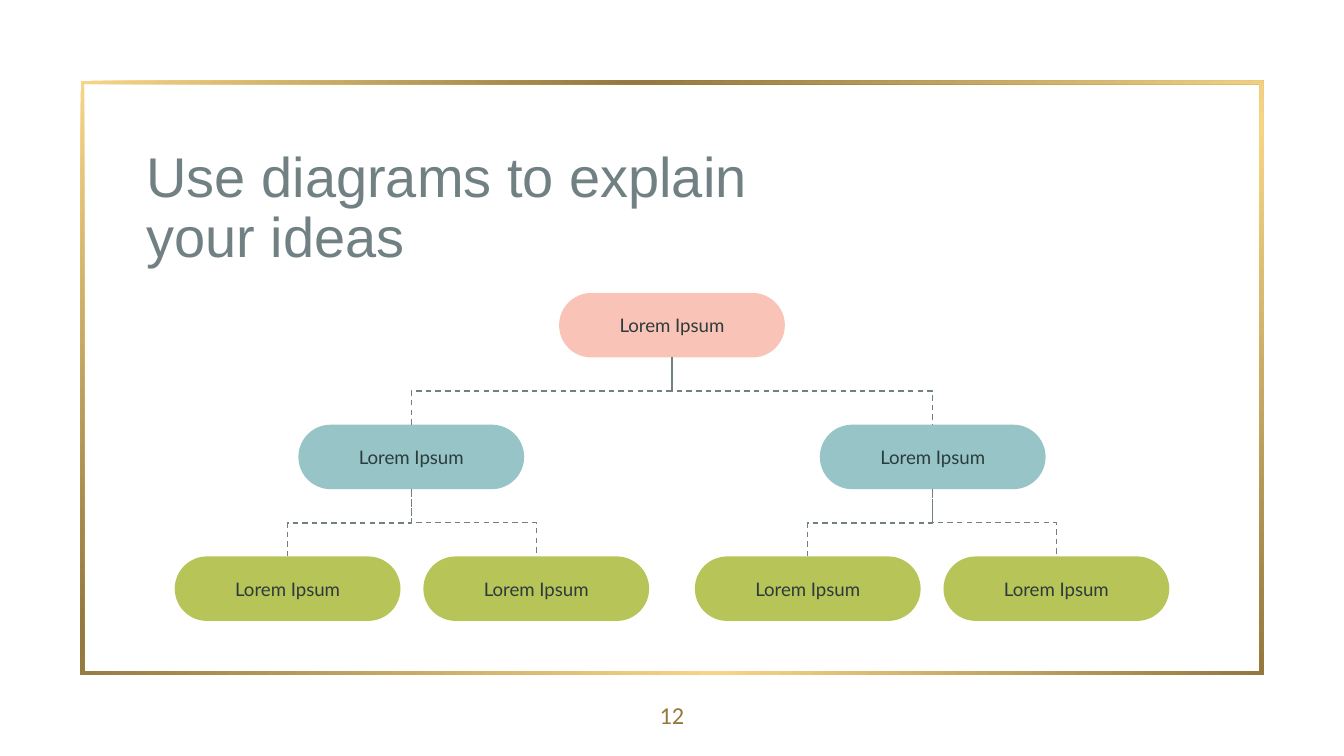
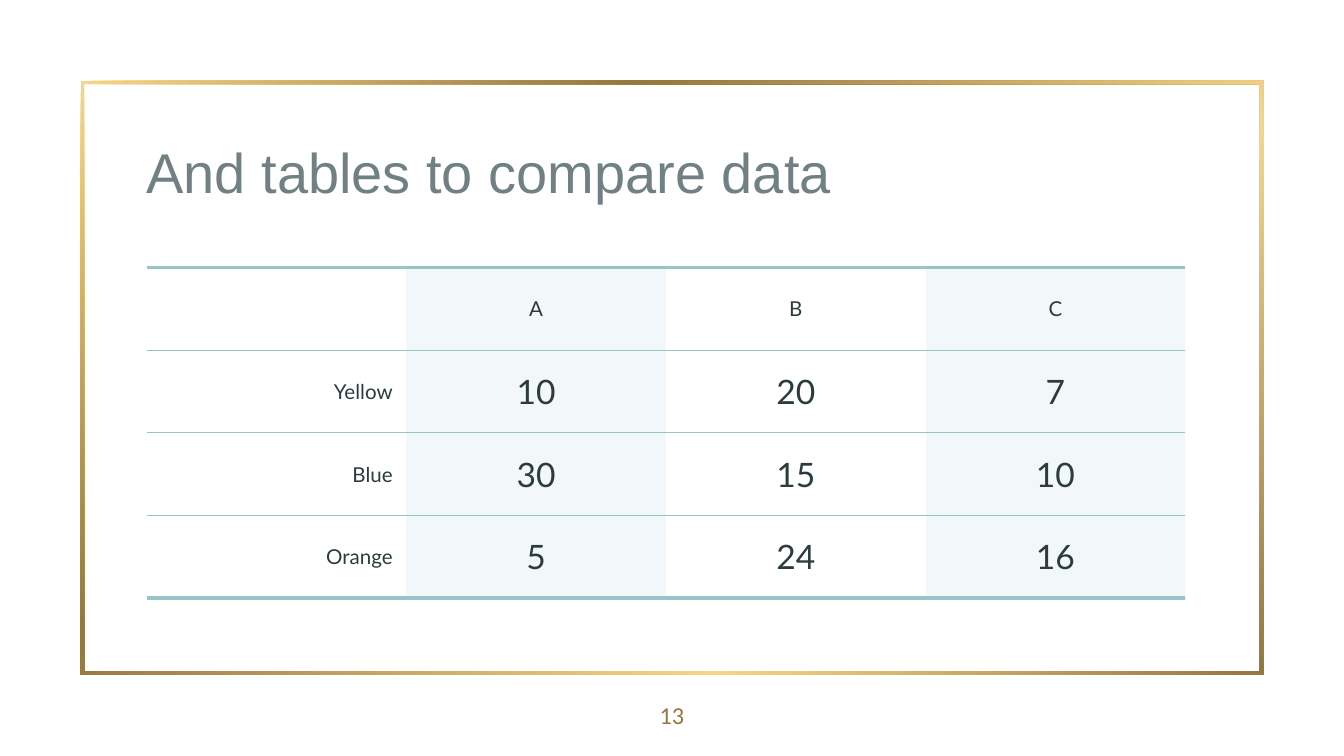
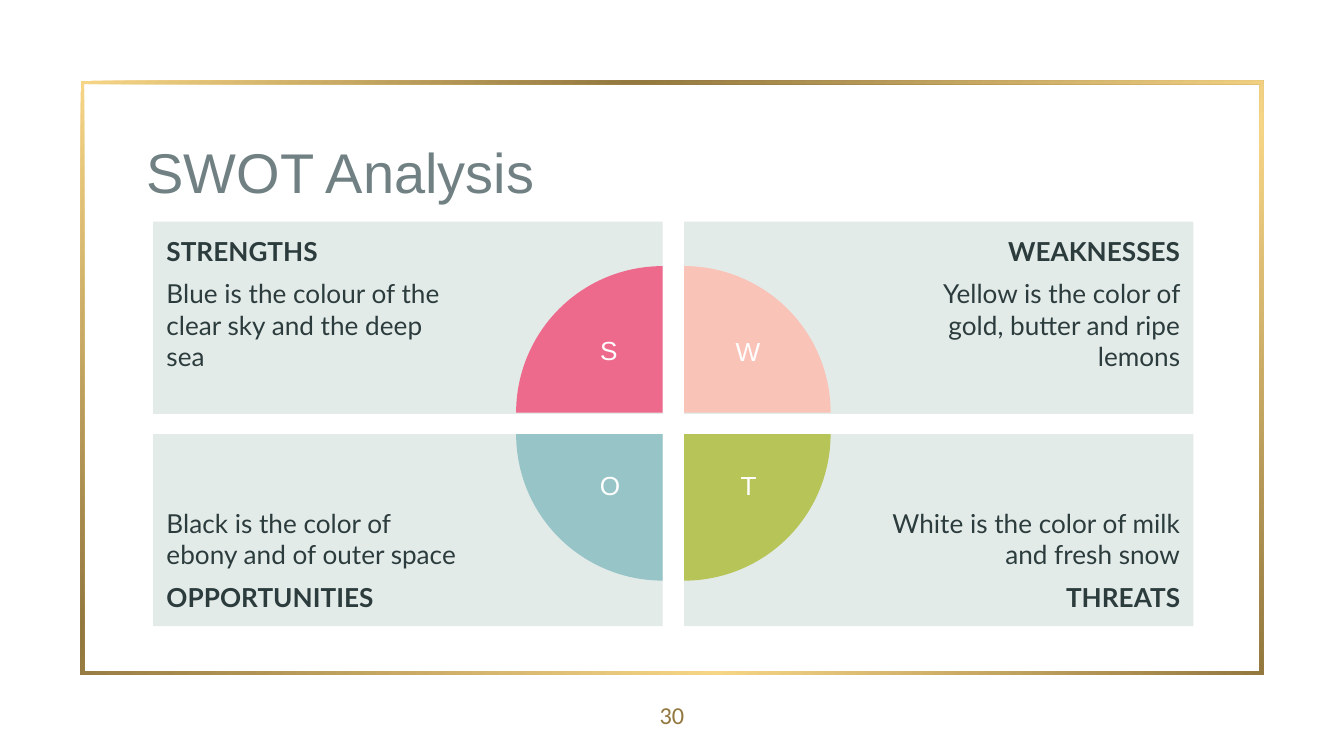
import copy

import pptx
import pptx.util
import pptx.dml.color
import pptx.enum.dml
import pptx.enum.shapes
import pptx.enum.text
import pptx.oxml.ns
import lxml.etree

Inches, Pt = pptx.util.Inches, pptx.util.Pt
RGB = pptx.dml.color.RGBColor.from_string
qn = pptx.oxml.ns.qn
Kind = pptx.enum.shapes.MSO_SHAPE
Align = pptx.enum.text.PP_ALIGN
Anchor = pptx.enum.text.MSO_ANCHOR

HUE = {
    "ink": "2C3C3D", "slate": "718183", "gold": "F6D586", "bronze": "93783F",
    "peach": "FAC3B7", "teal": "97C4C7", "lime": "B7C457", "rose": "EE6A8D",
    "mist": "E3EBE9", "ice": "F2F7FA", "white": "FFFFFF",
}
# Text styles: font attributes plus a colour
STYLE = {
    "title": ({"name": "Arial", "size": Pt(30)}, "slate"),
    "page": ({"name": "Calibri", "size": Pt(13)}, "bronze"),
    "node": ({"name": "Lato", "size": Pt(10)}, "ink"),
    "head": ({"name": "Lato", "size": Pt(14), "bold": True}, "ink"),
    "body": ({"name": "Lato", "size": Pt(14)}, "ink"),
    "label": ({"name": "Lato", "size": Pt(11)}, "ink"),
    "value": ({"name": "Lato", "size": Pt(18)}, "ink"),
    "sign": ({"name": "Arial", "size": Pt(14)}, "white"),
}


def write(frame, lines, align=Align.LEFT, anchor=Anchor.TOP, pad=(0, 0, 0, 0), wrap=True):
    """Fill a text frame with (text, style) lines; pad is left, top, right, bottom."""
    sides = ("margin_left", "margin_top", "margin_right", "margin_bottom")
    looks = {"word_wrap": wrap, "vertical_anchor": anchor}
    looks.update(zip(sides, map(Inches, pad)))
    for key, val in looks.items():
        setattr(frame, key, val)
    for i, (text, style) in enumerate(lines):
        para = frame.add_paragraph() if i else frame.paragraphs[0]
        para.alignment = align
        if i:
            para.space_before = Pt(6)
        run = para.add_run()
        run.text = text
        font, hue = STYLE[style]
        for key, val in font.items():
            setattr(run.font, key, val)
        run.font.color.rgb = RGB(HUE[hue])


def draw(slide, kind, box, hue, *adjust):
    """Add a plain shape without outline or shadow."""
    shape = slide.shapes.add_shape(kind, *map(Inches, box))
    shape.shadow.inherit = False
    shape.line.fill.background()
    shape.fill.solid()
    shape.fill.fore_color.rgb = RGB(HUE[hue])
    for i, val in enumerate(adjust):
        shape.adjustments[i] = val
    return shape


deck = pptx.Presentation()
deck.slide_width, deck.slide_height = Inches(10), Inches(5.625)

# Shared parts: gold frame, title, page number
slides = []
for title, page, top, wide in (
    ("Use diagrams to explain your ideas", "12", 1.11, 5.04),
    ("And tables to compare data", "13", 1.08, 7.82),
    ("SWOT Analysis", "30", 1.08, 7.82),
):
    slide = deck.slides.add_slide(deck.slide_layouts[6])
    slides.append(slide)
    edge = draw(slide, Kind.FRAME, (0.6, 0.6, 8.8, 4.42), "gold", 0.006)
    edge.fill.gradient()
    stops = edge._element.spPr.find(".//" + qn("a:gsLst"))
    for stop in list(stops):
        stops.append(copy.deepcopy(stop))
    shades = ((0, "gold"), (0.31, "bronze"), (0.69, "gold"), (1, "bronze"))
    for stop, (spot, hue) in zip(edge.fill.gradient_stops, shades):
        stop.position = spot
        stop.color.rgb = RGB(HUE[hue])
    edge.fill.gradient_angle = 315

    box = slide.shapes.add_textbox(*map(Inches, (1.09, top, wide, 0.43)))
    write(box.text_frame, [(title, "title")])
    box.text_frame.paragraphs[0].line_spacing = 0.9
    box = slide.shapes.add_textbox(*map(Inches, (4.7, 5.02, 0.6, 0.6)))
    write(box.text_frame, [(page, "page")], Align.CENTER, Anchor.MIDDLE)

tree, grid, swot = slides

# Tree: one row of nodes per level, given by node centres
wide, high, gap, top = 1.68, 0.48, 0.5, 2.18
levels = (
    ("peach", [5]),
    ("teal", [3.06, 6.94]),
    ("lime", [2.14, 3.99, 6.01, 7.86]),
)
for row, (hue, mids) in enumerate(levels):
    y = top + row * (high + gap)
    for i, mid in enumerate(mids):
        node = draw(tree, Kind.ROUNDED_RECTANGLE, (mid - wide / 2, y, wide, high), hue, 0.5)
        write(node.text_frame, [("Lorem Ipsum", "node")], Align.CENTER, Anchor.MIDDLE, (0.1,) * 4)
        if row == 0:
            continue
        # Elbow turned a quarter so that it leaves the parent downwards
        root = levels[row - 1][1][i // 2]
        side = gap / 2 if mid > root else -gap / 2
        half = abs(mid - root) / 2
        x, bend = (mid + root) / 2, y - gap / 2
        ends = (x + side, bend - half, x - side, bend + half)
        link = tree.shapes.add_connector(
            pptx.enum.shapes.MSO_CONNECTOR.ELBOW, *map(Inches, ends))
        link.line.color.rgb = RGB(HUE["slate"])
        link.line.width = Pt(0.75)
        link.line.dash_style = pptx.enum.dml.MSO_LINE.DASH
        props = link._element.spPr
        props.find(qn("a:xfrm")).set("rot", str(270 * 60000))
        lxml.etree.SubElement(props, qn("a:effectLst"))

# Table
data = (
    ("", "A", "B", "C"),
    ("Yellow", "10", "20", "7"),
    ("Blue", "30", "15", "10"),
    ("Orange", "5", "24", "16"),
)
last = len(data) - 1
table = grid.shapes.add_table(4, 4, *map(Inches, (1.09, 1.99, 7.73, 2.46))).table
table.first_row = table.horz_banding = False
for r, line in enumerate(data):
    for c, text in enumerate(line):
        cell = table.cell(r, c)
        props = cell._tc.get_or_add_tcPr()
        rules = {"lnL": 0, "lnR": 0, "lnT": 0.75 if r else 2.25, "lnB": 2.25 if r == last else 0.75}
        for tag, size in rules.items():
            rule = lxml.etree.SubElement(props, qn("a:" + tag), w=str(Pt(size)))
            if size:
                paint = lxml.etree.SubElement(rule, qn("a:solidFill"))
                lxml.etree.SubElement(paint, qn("a:srgbClr"), val=HUE["teal"])
            else:
                lxml.etree.SubElement(rule, qn("a:noFill"))
        if c % 2:
            cell.fill.solid()
            cell.fill.fore_color.rgb = RGB(HUE["ice"])
        else:
            cell.fill.background()
        cell.vertical_anchor = Anchor.MIDDLE
        cell.margin_left = cell.margin_right = Inches(0.1)
        cell.margin_top = cell.margin_bottom = Inches(0.07)
        if text:
            style = "value" if r and c else "label"
            write(cell.text_frame, [(text, style)], Align.CENTER if c else Align.RIGHT,
                  Anchor.MIDDLE, (0.1, 0.07, 0.1, 0.07))

# SWOT panels: column, row, heading, text
panels = (
    (0, 0, "STRENGTHS", "Blue is the colour of the clear sky and the deep sea"),
    (1, 0, "WEAKNESSES", "Yellow is the color of gold, butter and ripe lemons"),
    (0, 1, "OPPORTUNITIES", "Black is the color of ebony and of outer space"),
    (1, 1, "THREATS", "White is the color of milk and fresh snow"),
)
for col, row, head, text in panels:
    panel = draw(swot, Kind.RECTANGLE, (1.14 + col * 3.95, 1.65 + row * 1.58, 3.79, 1.43), "mist")
    lines = [(head, "head"), (text, "body")]
    write(panel.text_frame, lines[::-1] if row else lines,
          Align.RIGHT if col else Align.LEFT, Anchor.BOTTOM if row else Anchor.TOP,
          (1.5, 0.1, 0.1, 0.1) if col else (0.1, 0.1, 1.5, 0.1))
    panel.text_frame.paragraphs[-1].space_after = Pt(6)

# Quarter discs, clockwise from top left
quarters = ((0, 0, "rose"), (1, 0, "peach"), (1, 1, "lime"), (0, 1, "teal"))
for turn, (col, row, hue) in enumerate(quarters):
    disc = draw(swot, Kind.PIE, (3.84 + col * 0.16, 1.98 + row * 0.16, 2.18, 2.18), hue, 108, 162)
    disc.rotation = turn * 90

# Letters on the discs
for sign, left, top, wide in (
    ("S", 4.4, 2.44, 0.26), ("W", 5.31, 2.45, 0.51),
    ("O", 4.37, 3.44, 0.34), ("T", 5.42, 3.44, 0.3),
):
    box = swot.shapes.add_textbox(*map(Inches, (left, top, wide, 0.4)))
    write(box.text_frame, [(sign, "sign")], Align.CENTER, pad=(0, 0.05, 0, 0.05), wrap=False)

deck.save("out.pptx")
